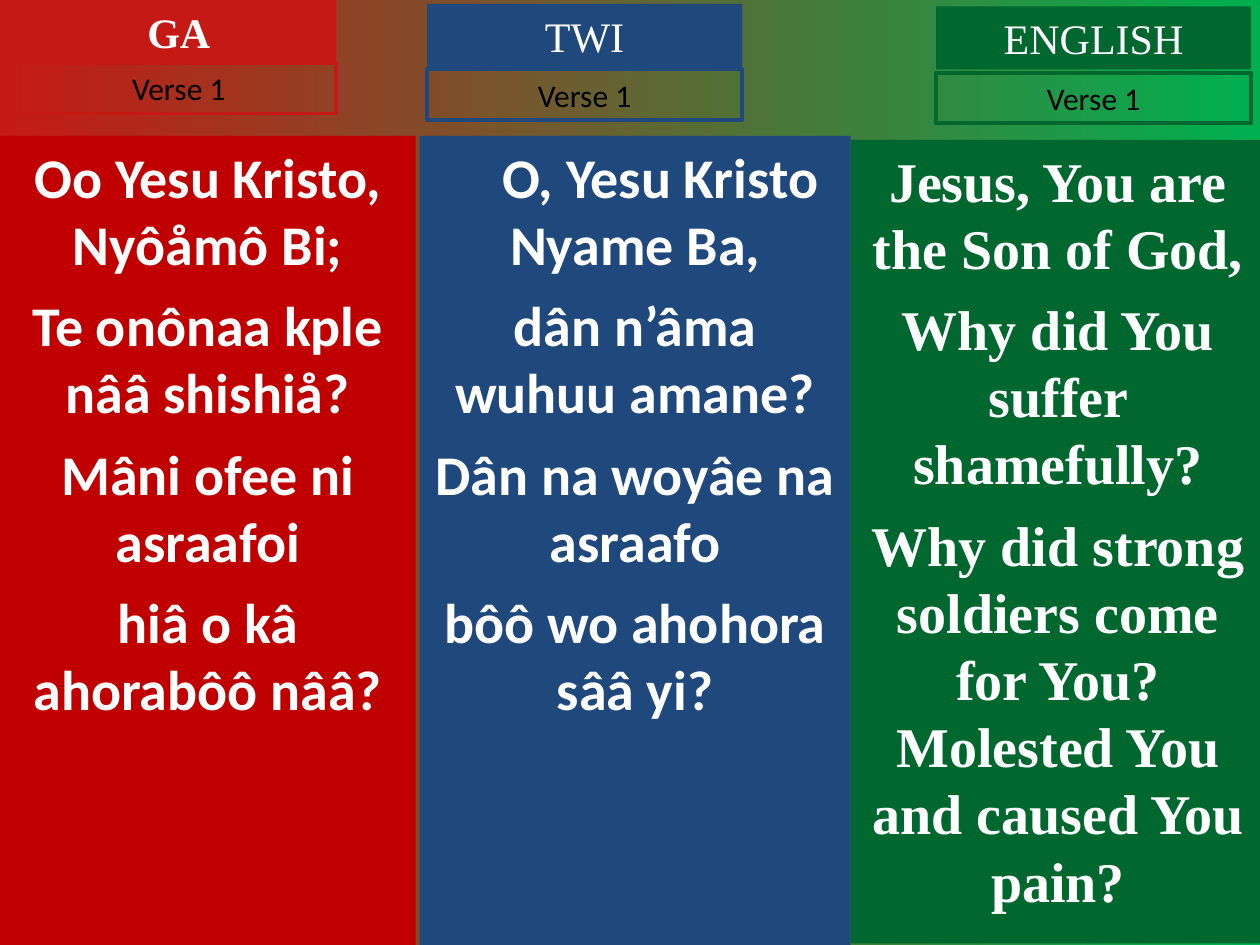
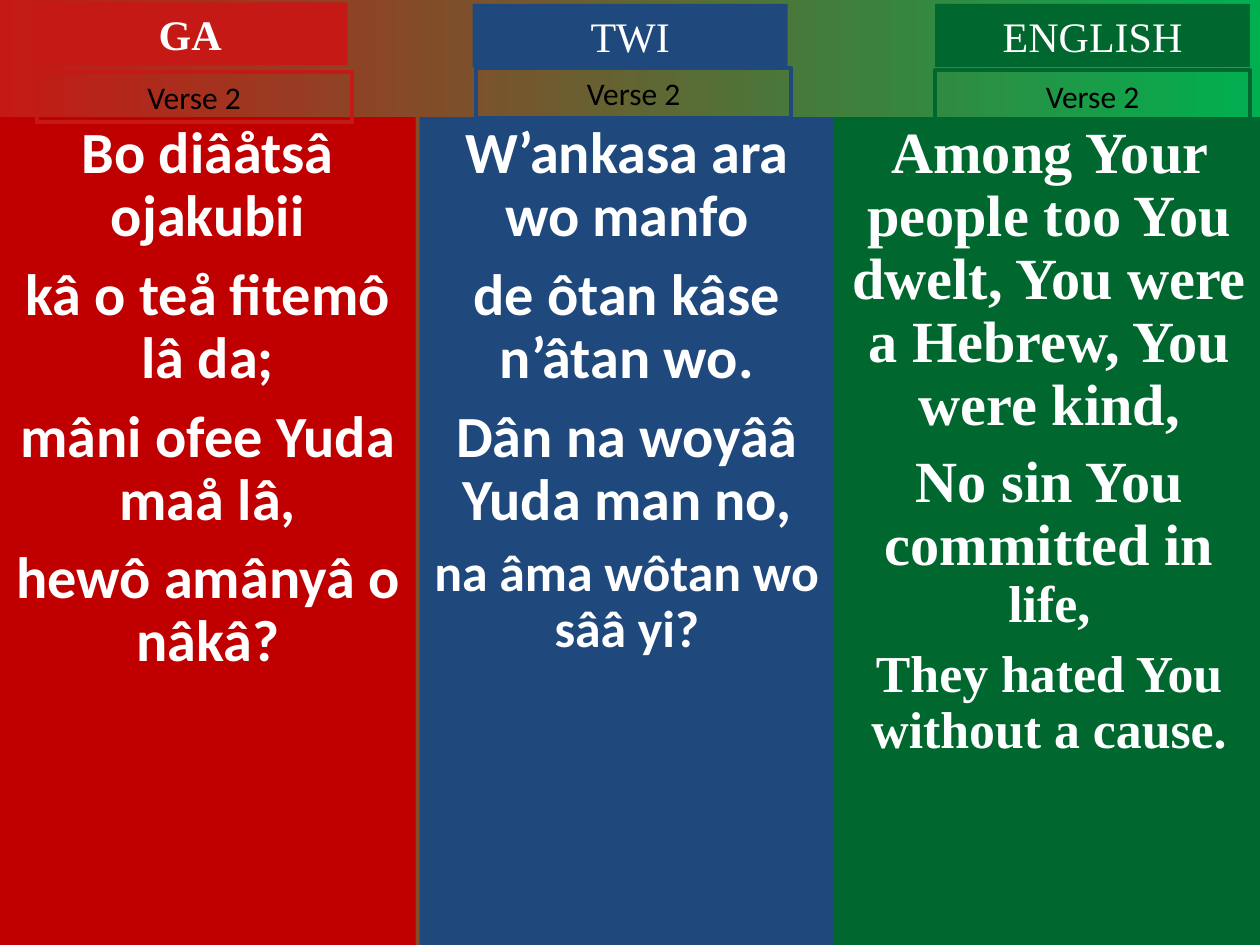
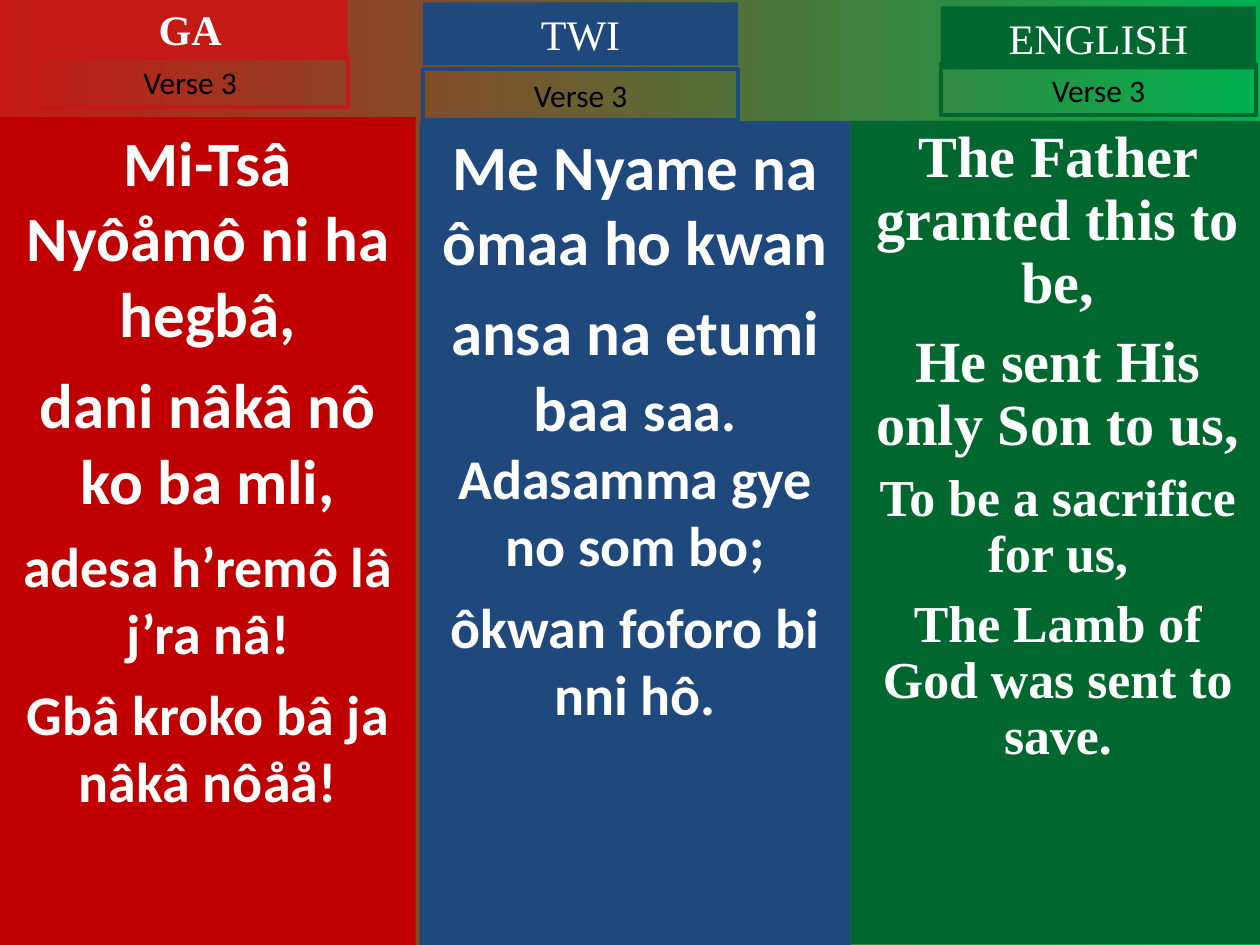
"""Build three hymn slides, each with a verse in Ga, Twi and English."""
from collections import namedtuple

from lxml.etree import SubElement
from pptx import Presentation
from pptx.dml.color import RGBColor
from pptx.enum.shapes import MSO_SHAPE as Shape
from pptx.enum.text import MSO_ANCHOR as Anchor, MSO_AUTO_SIZE as AutoSize, PP_ALIGN as Align
from pptx.oxml.ns import qn
from pptx.util import Cm, Pt

WHITE = RGBColor(0xFF, 0xFF, 0xFF)
BLACK = RGBColor(0x00, 0x00, 0x00)
SCARLET = RGBColor(0xC5, 0x19, 0x15)
RED = RGBColor(0xC0, 0x00, 0x00)
BLUE = RGBColor(0x1F, 0x49, 0x7D)
GREEN = RGBColor(0x00, 0x68, 0x2F)
BRIGHT_GREEN = RGBColor(0x00, 0xB0, 0x50)
SANS, SERIF = "Calibri", "Times New Roman"

Language = namedtuple("Language", "name label_color column_color font bold")
Panel = namedtuple("Panel", "column heading verse spacing lines indent", defaults=[0])

LANGUAGES = [
    Language("GA", SCARLET, RED, SANS, True),
    Language("TWI", BLUE, BLUE, SANS, False),
    Language("ENGLISH", GREEN, GREEN, SERIF, False),
]

VERSES = [
    [
        Panel((0, 2.74, 8.38, 16.31), (0.43, 0), (0.43, 1.27), 1, [
            [("Oo Yesu Kristo, Nyôåmô Bi;", 32)],
            [("Te onônaa kple nââ shishiå?", 32)],
            [("Mâni ofee ni asraafoi", 32)],
            [("hiâ o kâ ahorabôô nââ?", 32)],
        ]),
        Panel((8.46, 2.74, 8.69, 16.31), (8.61, 0.08), (8.61, 1.4), 1, [
            [("O, Yesu Kristo Nyame Ba,", 32)],
            [("dân n’âma wuhuu amane?", 32)],
            [("Dân na woyâe na asraafo", 32)],
            [("bôô wo ahohora sââ yi?", 32)],
        ], 1.02),
        Panel((17.15, 2.82, 8.36, 16.2), (18.87, 0.13), (18.87, 1.47), 1, [
            [("Jesus, You are the Son of God,", 32)],
            [("Why did You suffer shamefully?", 32)],
            [("Why did strong soldiers come for You? "
              "Molested You and caused You pain?", 32)],
        ]),
    ],
    [
        Panel((0, 2.36, 8.38, 16.69), (0.66, 0.05), (0.74, 1.45), 0.9, [
            [("Bo diâåtsâ ojakubii", 33.3)],
            [("kâ o teå fitemô lâ da;", 33.3)],
            [("mâni ofee Yuda maå lâ,", 33.3)],
            [("hewô amânyâ o nâkâ?", 33.3)],
        ]),
        Panel((8.46, 2.36, 8.36, 16.69), (9.53, 0.08), (9.6, 1.37), 0.9, [
            [("W’ankasa ara wo manfo", 33.3)],
            [("de ôtan kâse n’âtan wo.", 33.3)],
            [("Dân na woyââ Yuda man no,", 33.3)],
            [("na âma wôtan wo sââ yi?", 29.6)],
        ]),
        Panel((16.81, 2.36, 8.69, 16.69), (18.85, 0.08), (18.85, 1.42), 0.9, [
            [("Among Your people too You dwelt, "
              "You were a Hebrew, You were kind,", 33.3)],
            [("No sin You committed in ", 33.3), ("life,", 29.6)],
            [("They hated You without a cause.", 29.6)],
        ]),
    ],
    [
        Panel((0, 2.36, 8.38, 16.69), (0.66, -0.05), (0.66, 1.14), 1, [
            [("Mi-Tsâ Nyôåmô ni ha hegbâ,", 36)],
            [("dani nâkâ nô ko ba mli,", 36)],
            [("adesa h’remô lâ j’ra nâ!", 32)],
            [("Gbâ kroko bâ ja nâkâ nôåå!", 32)],
        ]),
        Panel((8.46, 2.44, 8.69, 16.61), (8.53, 0.05), (8.53, 1.4), 1, [
            [("Me Nyame na ômaa ho kwan", 36)],
            [("ansa na etumi baa ", 36), ("saa. Adasamma gye no som bo;", 32)],
            [("ôkwan foforo bi nni hô.", 32)],
        ]),
        Panel((17.15, 2.44, 8.36, 16.59), (18.97, 0.13), (18.97, 1.3), 0.9, [
            [("The Father granted this to be,", 33.3)],
            [("He sent His only Son to us,", 33.3)],
            [("To be a sacrifice for us,", 29.6)],
            [("The Lamb of God was sent to save.", 29.6)],
        ]),
    ],
]


class HymnDeck:
    """Holds the deck, its style and the current slide."""

    def __init__(self):
        """Start an empty deck."""
        self.deck = Presentation()
        self.deck.slide_width, self.deck.slide_height = Cm(25.4), Cm(19.05)
        self.slide = None

    def add_slide(self):
        """Start a slide on the red to green background."""
        self.slide = self.deck.slides.add_slide(self.deck.slide_layouts[3])
        fill = self.slide.background.fill
        fill.gradient()
        fill.gradient_angle = 0
        for stop, color, position in zip(fill.gradient_stops, (SCARLET, BRIGHT_GREEN), (0, 1)):
            stop.color.rgb, stop.position = color, position

    def add_box(self, bounds, anchor, fill=None, line=None, holder=None):
        """Place a rectangle, or move a placeholder, and style it."""
        left, top, width, height = (Cm(length) for length in bounds)
        if holder is None:
            box = self.slide.shapes.add_shape(Shape.RECTANGLE, left, top, width, height)
        else:
            box = self.slide.placeholders[holder]
            box.left, box.top, box.width, box.height = left, top, width, height
        box.shadow.inherit = False
        if fill is None:
            box.fill.background()
        else:
            box.fill.solid()
            box.fill.fore_color.rgb = fill
        if line is None:
            box.line.fill.background()
        else:
            box.line.color.rgb, box.line.width = line, Pt(2.25)
        frame = box.text_frame
        frame.word_wrap, frame.auto_size, frame.vertical_anchor = True, AutoSize.NONE, anchor
        return frame

    def add_text(self, para, text, size, font, color, bold):
        """Add one formatted run to a centred paragraph."""
        para.alignment = Align.CENTER
        span = para.add_run()
        span.text = text
        span.font.size, span.font.name, span.font.bold = Pt(size), font, bold
        span.font.color.rgb = color

    def add_column(self, language, panel, holder):
        """Add the coloured column with the lines of a verse."""
        frame = self.add_box(panel.column, Anchor.TOP, fill=language.column_color, holder=holder)
        for index, line in enumerate(panel.lines):
            para = frame.add_paragraph() if index else frame.paragraphs[0]
            properties = para._p.get_or_add_pPr()
            properties.set("marL", "0")
            properties.set("indent", str(0 if index else Cm(panel.indent)))
            SubElement(properties, qn("a:buNone"))
            para.line_spacing = panel.spacing
            last_size = line[-1][1]
            para.space_before = Pt((9 if last_size > 32 else 8) if index else 0)
            for text, size in line:
                self.add_text(para, text, size, language.font, WHITE, True)

    def add_heading(self, language, position, holder):
        """Add the filled label that names the language."""
        frame = self.add_box((*position, 6.35, 1.27), Anchor.MIDDLE,
                             fill=language.label_color, holder=holder)
        self.add_text(frame.paragraphs[0], language.name, 24, SERIF, WHITE, language.bold)

    def add_verse_label(self, language, position, number):
        """Add the outlined label with the verse number."""
        frame = self.add_box((*position, 6.35, 1.02), Anchor.MIDDLE, line=language.label_color)
        self.add_text(frame.paragraphs[0], f"Verse {number}", 18, SANS, BLACK, False)


def main():
    """Build and save the deck."""
    hymn = HymnDeck()
    for number, panels in enumerate(VERSES, 1):
        hymn.add_slide()
        for language, panel, body, title in zip(LANGUAGES, panels, (1, 2, None), (0, None, None)):
            hymn.add_column(language, panel, body)
            hymn.add_heading(language, panel.heading, title)
            hymn.add_verse_label(language, panel.verse, number)
    hymn.deck.save("out.pptx")


if __name__ == "__main__":
    main()
